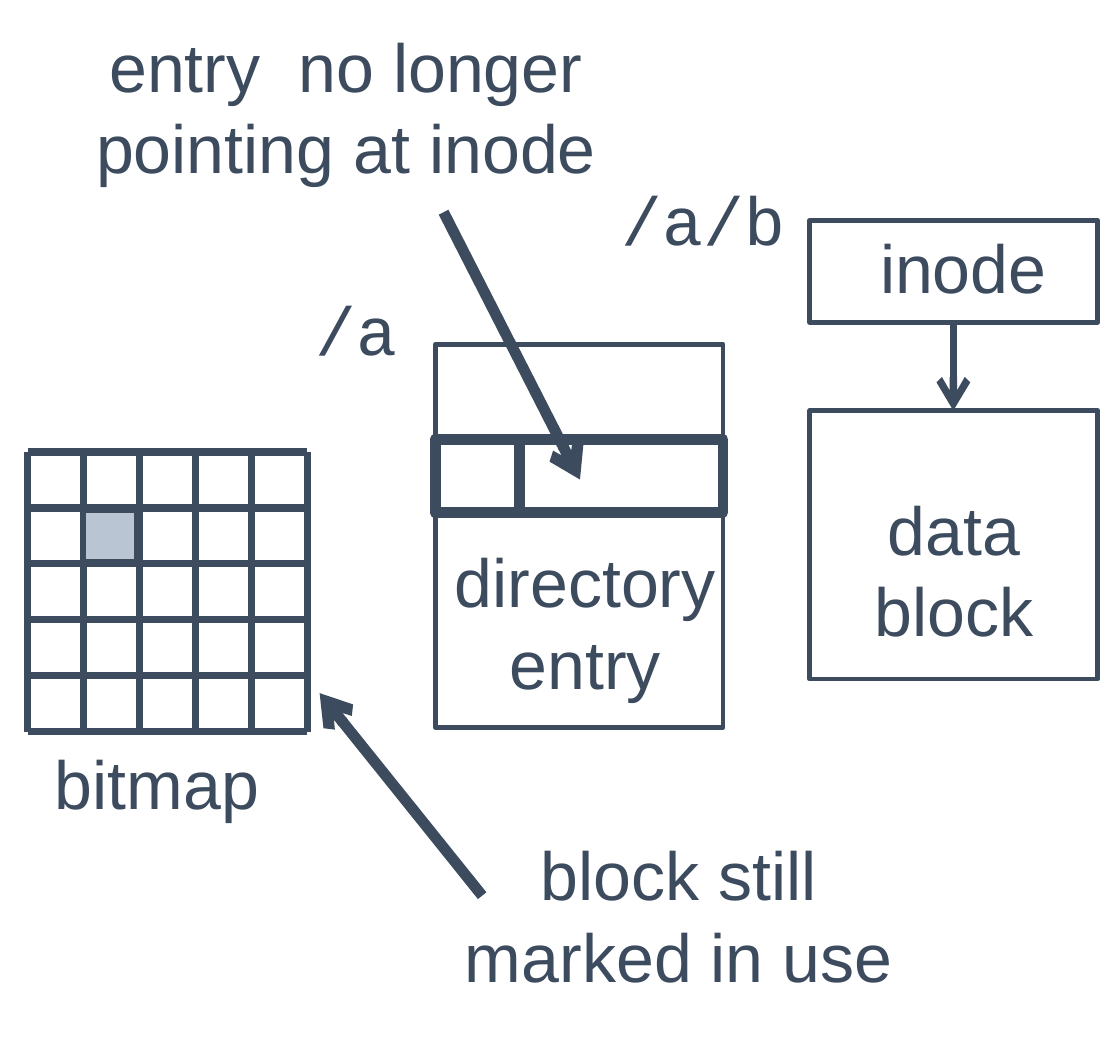
from pptx import Presentation
from pptx.dml.color import RGBColor
from pptx.enum.shapes import MSO_CONNECTOR, MSO_SHAPE
from pptx.enum.text import MSO_AUTO_SIZE, PP_ALIGN
from pptx.oxml.ns import qn
from pptx.util import Cm, Pt
from lxml.etree import SubElement

COLORS = {"ink": "3C4B5E", "paper": "FFFFFF", "used": "BAC5D3"}
SANS, MONO = "Arial", "Courier New"
LEFT, CENTER = PP_ALIGN.LEFT, PP_ALIGN.CENTER

GRID = {"left": 0.2, "top": 3.28, "side": 2.03, "count": 5}
BOXES = [
    (3.16, 2.5, 2.09, 2.78, "paper", 1),
    (3.16, 3.19, 2.09, 0.53, "paper", 2.25),
    (3.16, 3.19, 0.61, 0.53, "paper", 2.25),
    (0.61, 3.71, 0.38, 0.36, "used", 0.75),
    (5.88, 2.98, 2.09, 1.95, "paper", 1),
    (5.88, 1.6, 2.09, 0.74, "paper", 1),
]
ARROWS = [
    (3.22, 1.54, 4.21, 3.48, 2.25),
    (6.92, 2.35, 6.92, 2.98, 1.5),
    (3.5, 6.5, 2.32, 5.03, 2.25),
]
LABELS = [
    ("bitmap", 0.15, 5.26, 2.08, 0.86, SANS, LEFT),
    ("directory\nentry", 3.02, 3.79, 2.46, 1.45, SANS, CENTER),
    ("data\nblock", 6.05, 3.41, 1.75, 1.45, SANS, CENTER),
    ("inode", 6.12, 1.51, 1.75, 0.86, SANS, CENTER),
    ("/a", 2.03, 1.96, 1.12, 0.86, MONO, CENTER),
    ("/a/b", 4.26, 1.16, 1.7, 0.86, MONO, CENTER),
    ("entry  no longer\npointing at inode", 0.43, 0.05, 4.17, 1.45, SANS, CENTER),
    ("block still\nmarked in use", 3.1, 5.92, 3.66, 1.45, SANS, CENTER),
]


def color(name):
    return RGBColor.from_string(COLORS[name])


def add_line(slide, x1, y1, x2, y2, weight, head=False):
    line = slide.shapes.add_connector(
        MSO_CONNECTOR.STRAIGHT, Cm(x1), Cm(y1), Cm(x2), Cm(y2))
    line.line.color.rgb = color("ink")
    line.line.width = Pt(weight)
    if head:
        SubElement(line.line._get_or_add_ln(), qn("a:tailEnd"), type="arrow")
    SubElement(line._element.spPr, qn("a:effectLst"))


def add_grid(slide, left, top, side, count):
    for i in range(count + 1):
        gap = side * i / count
        add_line(slide, left, top + gap, left + side, top + gap, 1.5)
        add_line(slide, left + gap, top + side, left + gap, top, 1.5)


def add_box(slide, x, y, width, height, fill, weight):
    box = slide.shapes.add_shape(
        MSO_SHAPE.RECTANGLE, Cm(x), Cm(y), Cm(width), Cm(height))
    box.shadow.inherit = False
    box.fill.solid()
    box.fill.fore_color.rgb = color(fill)
    box.line.color.rgb = color("ink")
    box.line.width = Pt(weight)


def add_label(slide, text, x, y, width, height, face, align):
    frame = slide.shapes.add_textbox(
        Cm(x), Cm(y), Cm(width), Cm(height)).text_frame
    frame.word_wrap = False
    frame.auto_size = MSO_AUTO_SIZE.SHAPE_TO_FIT_TEXT
    para = frame.paragraphs[0]
    para.text = text
    para.alignment = align
    for run in para.runs:
        run.font.name = face
        run.font.size = Pt(14)
        run.font.color.rgb = color("ink")


def main():
    deck = Presentation()
    deck.slide_width, deck.slide_height = Cm(8.13), Cm(7.62)
    slide = deck.slides.add_slide(deck.slide_layouts[6])
    add_grid(slide, **GRID)
    for box in BOXES:
        add_box(slide, *box)
    for arrow in ARROWS:
        add_line(slide, *arrow, head=True)
    for label in LABELS:
        add_label(slide, *label)
    deck.save("out.pptx")


if __name__ == "__main__":
    main()
